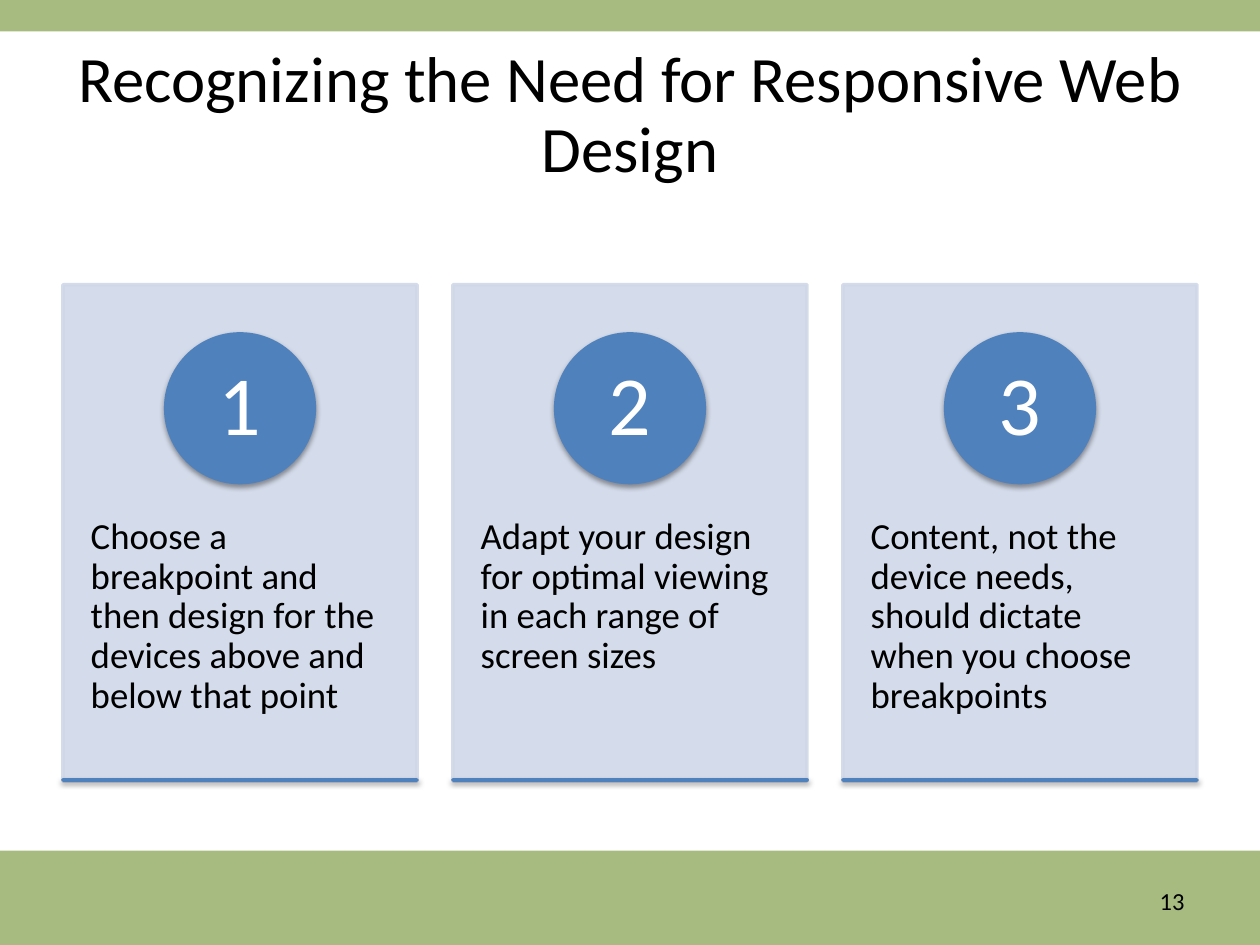
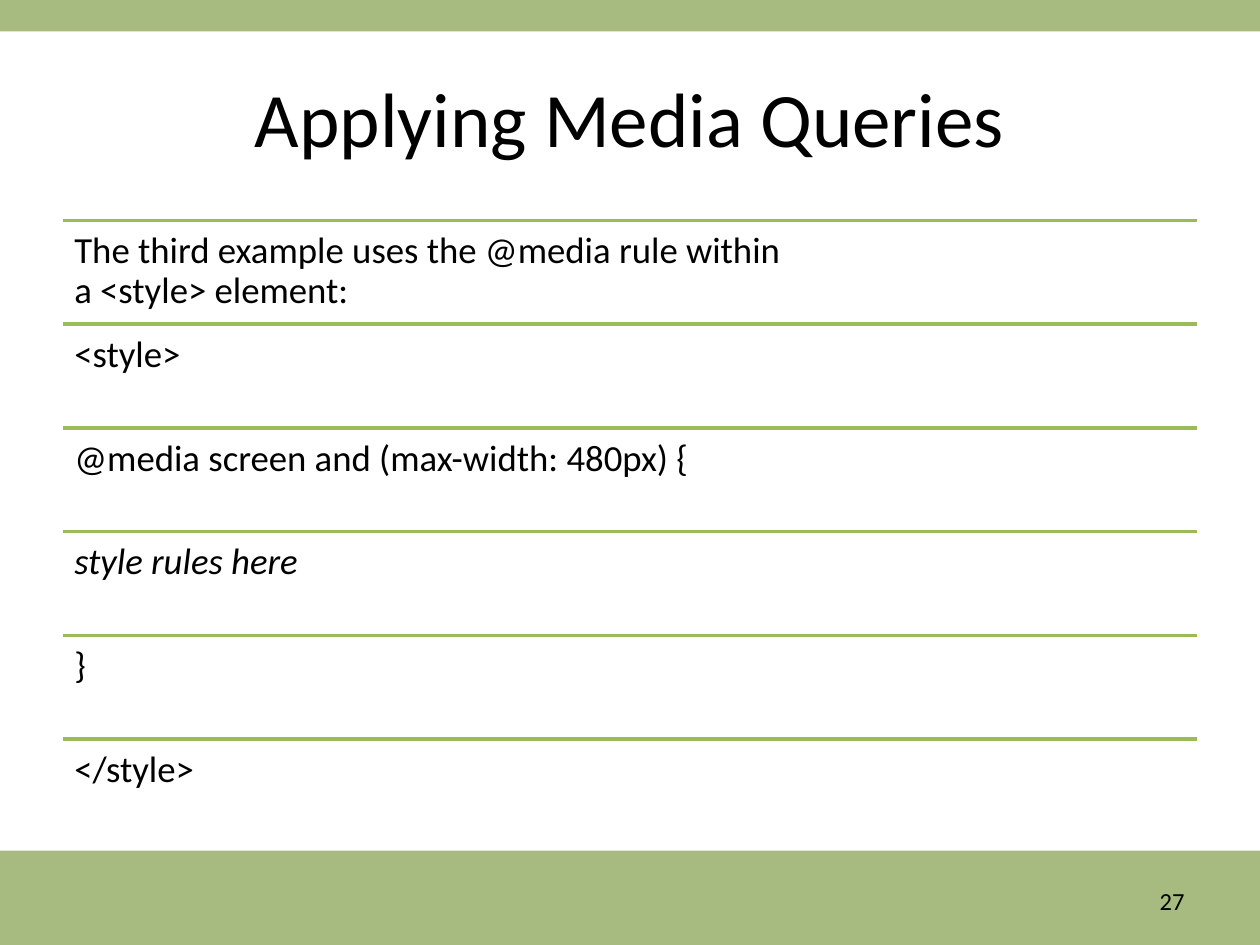
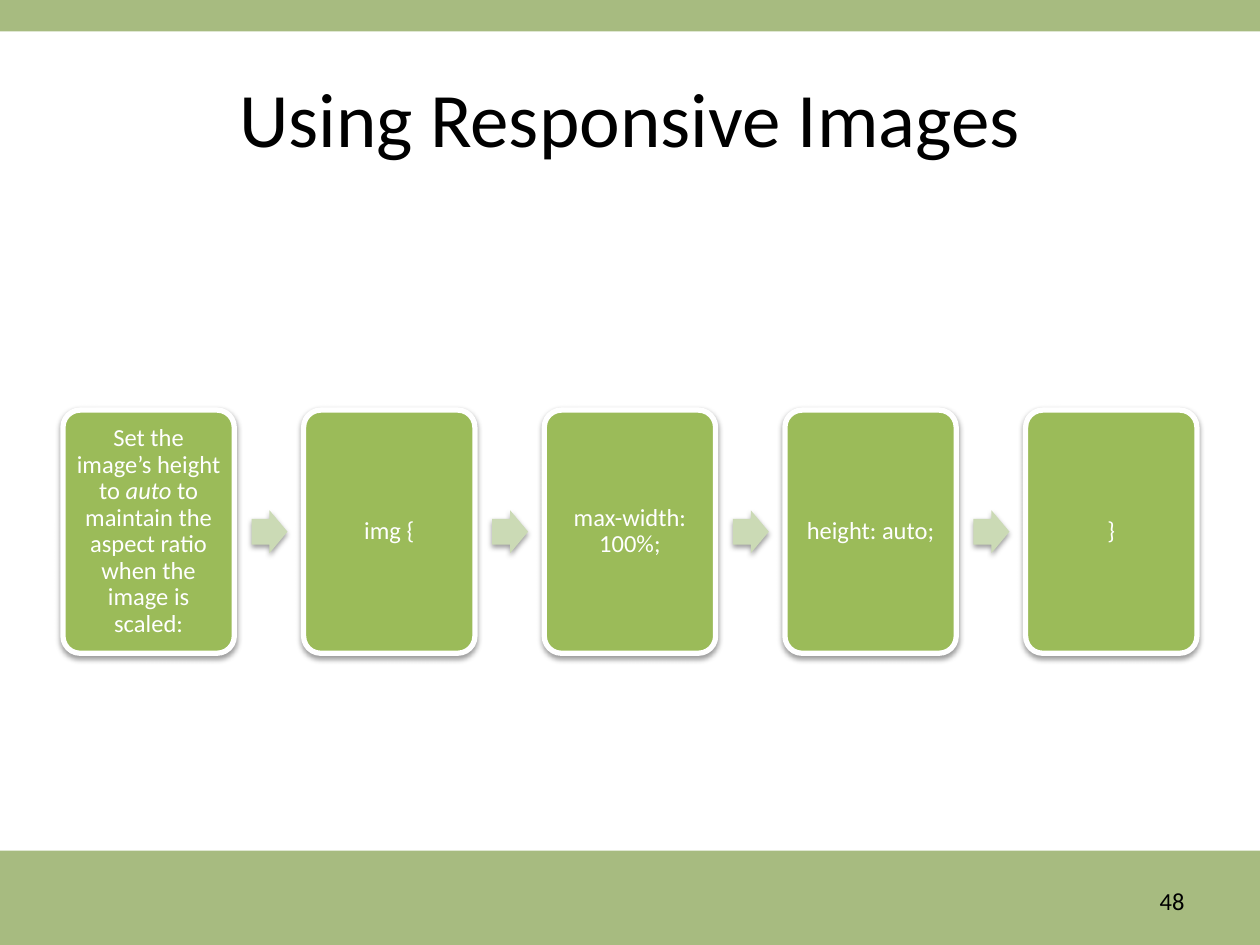
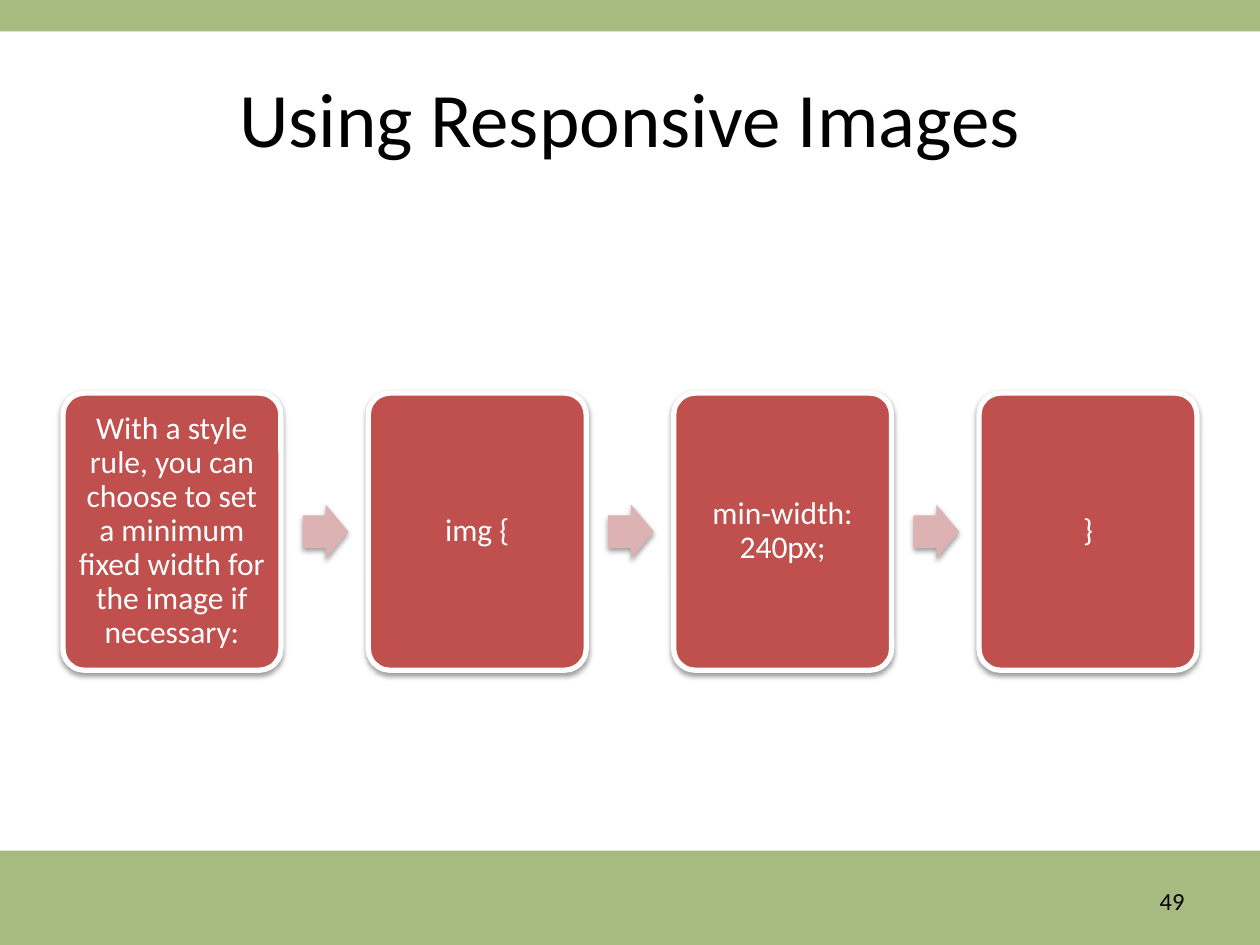
from pptx import Presentation
from pptx.dml.color import RGBColor
from pptx.enum.shapes import MSO_CONNECTOR, MSO_SHAPE
from pptx.enum.text import MSO_ANCHOR, MSO_AUTO_SIZE, PP_ALIGN
from pptx.oxml.xmlchemy import OxmlElement
from pptx.util import Inches, Pt

RECTANGLE, OVAL = MSO_SHAPE.RECTANGLE, MSO_SHAPE.OVAL
ROUNDED, ARROW = MSO_SHAPE.ROUNDED_RECTANGLE, MSO_SHAPE.RIGHT_ARROW
STRAIGHT = MSO_CONNECTOR.STRAIGHT
TOP, MIDDLE = MSO_ANCHOR.TOP, MSO_ANCHOR.MIDDLE
LEFT, CENTER, RIGHT = PP_ALIGN.LEFT, PP_ALIGN.CENTER, PP_ALIGN.RIGHT
NO_AUTOFIT = MSO_AUTO_SIZE.NONE

FONT = "Calibri"
COLORS = {
    "band": "A7BB80",
    "text": "000000",
    "white": "FFFFFF",
    "blue": "4F81BD",
    "card": "D0D8E8",
    "green": "9BBB59",
    "pale green": "CBDAB5",
    "red": "C0504D",
    "pale red": "DCB3B2",
}
MARGIN, CONTENT_WIDTH = 0.5, 9
DIAGRAM_MIDDLE = 4.22


def color(name):
    return RGBColor.from_string(COLORS[name])


def add_child(parent, tag, **attributes):
    child = OxmlElement(tag)
    for name, value in attributes.items():
        child.set(name, str(value))
    parent.append(child)
    return child


def spread(count, width):
    """Left edges of equal boxes that fill the content width."""
    pitch = (CONTENT_WIDTH - width) / (count - 1)
    return [MARGIN + index * pitch for index in range(count)]


class Deck:
    def __init__(self):
        self.presentation = Presentation()
        self.presentation.slide_width = Inches(10)
        self.presentation.slide_height = Inches(7.5)
        self.layout = self.presentation.slide_layouts[5]
        self.slide = None

    def new_slide(self, title, number, size=44, line_spacing=1):
        first = self.slide is None
        self.slide = self.presentation.slides.add_slide(self.layout)
        if first:
            self.move_bands_to_layout()
        placeholder = self.slide.shapes.title
        placeholder.left, placeholder.top = Inches(MARGIN), Inches(0.3)
        placeholder.width, placeholder.height = Inches(CONTENT_WIDTH), Inches(1.25)
        self.set_text(placeholder, title, size, align=CENTER, anchor=MIDDLE,
                      line_spacing=line_spacing)
        self.text(7.17, 6.95, 2.33, 0.4, str(number), 14, align=RIGHT,
                  anchor=MIDDLE, line_spacing=1, space_after=6)

    def move_bands_to_layout(self):
        for top, height in ((0, 0.25), (6.75, 0.75)):
            band = self.shape(RECTANGLE, 0, top, 10, height, "band")
            self.layout.shapes.element.insert(2, band.element)

    def set_text(self, shape, text, size, ink="text", align=LEFT, anchor=TOP,
                 insets=(0.1, 0.05), line_spacing=0.9, space_after=0):
        """Fill a shape with a string, or with (text, italic) pairs."""
        frame = shape.text_frame
        across, down = map(Inches, insets)
        frame_format = {
            "word_wrap": True, "auto_size": NO_AUTOFIT, "vertical_anchor": anchor,
            "margin_left": across, "margin_right": across,
            "margin_top": down, "margin_bottom": down,
        }
        for name, value in frame_format.items():
            setattr(frame, name, value)
        paragraph = frame.paragraphs[0]
        paragraph_format = {
            "alignment": align, "line_spacing": line_spacing,
            "space_before": Pt(0), "space_after": Pt(space_after),
        }
        for name, value in paragraph_format.items():
            setattr(paragraph, name, value)
        if isinstance(text, str):
            paragraph.text = text
        else:
            for words, italic in text:
                run = paragraph.add_run()
                run.text, run.font.italic = words, italic
        for run in paragraph.runs:
            run.font.name, run.font.size = FONT, Pt(size)
            run.font.color.rgb = color(ink)

    def text(self, left, top, width, height, text, size, **options):
        box = self.slide.shapes.add_textbox(
            Inches(left), Inches(top), Inches(width), Inches(height))
        self.set_text(box, text, size, **options)

    def shape(self, kind, left, top, width, height, fill, line=None,
              line_width=2, opacity=None, shadow=False, adjustments=()):
        shape = self.slide.shapes.add_shape(
            kind, Inches(left), Inches(top), Inches(width), Inches(height))
        for index, value in enumerate(adjustments):
            shape.adjustments[index] = value
        shape.fill.solid()
        shape.fill.fore_color.rgb = color(fill)
        if line:
            shape.line.color.rgb = color(line)
            shape.line.width = Pt(line_width)
        else:
            shape.line.fill.background()
        properties = shape.element.spPr
        if opacity:
            for node in properties.xpath(".//a:srgbClr"):
                add_child(node, "a:alpha", val=opacity * 1000)
        shape.shadow.inherit = False
        if shadow:
            effects = properties.xpath("a:effectLst")[0]
            outer = add_child(effects, "a:outerShdw", blurRad=Pt(3.1), dist=Pt(1.6),
                              dir=5400000, rotWithShape=0)
            shade = add_child(outer, "a:srgbClr", val=COLORS["text"])
            add_child(shade, "a:alpha", val=38000)
        return shape

    def rule(self, top):
        connector = self.slide.shapes.add_connector(
            STRAIGHT, Inches(MARGIN), Inches(top),
            Inches(MARGIN + CONTENT_WIDTH), Inches(top))
        connector.line.color.rgb = color("green")
        connector.line.width = Pt(2)
        add_child(connector.element.spPr, "a:effectLst")

    def numbered_cards(self, texts):
        width, diameter = 2.81, 1.18
        for number, (left, text) in enumerate(zip(spread(len(texts), width), texts), 1):
            self.shape(RECTANGLE, left, 2.26, width, 3.94, "card", "card", opacity=90)
            self.text(left, 3.75, width, 2.36, text, 21, insets=(0.22, 0.36))
            circle = self.shape(OVAL, left + (width - diameter) / 2, 2.65,
                                diameter, diameter, "blue", "blue", shadow=True)
            self.set_text(circle, str(number), 48, ink="white", align=CENTER,
                          anchor=MIDDLE, insets=(0.09, 0.01))
            self.shape(RECTANGLE, left, 6.19, width, 0, "blue", "blue", shadow=True)

    def ruled_rows(self, texts):
        top, bottom = 1.75, 6.69
        pitch = (bottom - top) / len(texts)
        for index, text in enumerate(texts):
            row_top = top + index * pitch
            self.rule(row_top)
            self.text(MARGIN, row_top, CONTENT_WIDTH, pitch, text, 21,
                      insets=(0.09, 0.09))

    def process(self, steps, width, height, fill, arrow_fill, size, inset):
        """Rounded steps in a row, with arrows scaled to the step width."""
        arrow_width, arrow_height = 0.21 * width, 0.25 * width
        for index, (left, text) in enumerate(zip(spread(len(steps), width), steps)):
            if index:
                self.shape(ARROW, arrow_left, DIAGRAM_MIDDLE - arrow_height / 2,
                           arrow_width, arrow_height, arrow_fill, shadow=True,
                           adjustments=(0.6, 0.5))
            step = self.shape(ROUNDED, left, DIAGRAM_MIDDLE - height / 2, width, height,
                              fill, "white", line_width=3, shadow=True,
                              adjustments=(0.1,))
            self.set_text(step, text, size, ink="white", align=CENTER, anchor=MIDDLE,
                          insets=(inset, inset))
            arrow_left = left + 1.1 * width


def main():
    deck = Deck()

    deck.new_slide("Recognizing the Need for Responsive Web Design", 13,
                   size=37, line_spacing=0.9)
    deck.numbered_cards([
        "Choose a breakpoint and then design for the devices above and below that point",
        "Adapt your design for optimal viewing in each range of screen sizes",
        "Content, not the device needs, should dictate when you choose breakpoints",
    ])

    deck.new_slide("Applying Media Queries", 27)
    deck.ruled_rows([
        "The third example uses the @media rule within \na <style> element:",
        "<style>",
        "@media screen and (max-width: 480px) {",
        [("style rules here", True)],
        "}",
        "</style>",
    ])

    deck.new_slide("Using Responsive Images", 48)
    image_height_note = [
        ("Set the image’s height to ", False),
        ("auto ", True),
        ("to maintain the aspect ratio when the image is scaled:", False),
    ]
    deck.process([image_height_note, "img {", "max-width: 100%;", "height: auto;", "}"],
                 1.36, 1.93, "green", "pale green", size=14, inset=0.06)

    deck.new_slide("Using Responsive Images", 49)
    minimum_width_note = ("With a style rule, you can choose to set a minimum "
                          "fixed width for the image if necessary:")
    deck.process([minimum_width_note, "img {", "min-width: 240px;", "}"],
                 1.73, 2.2, "red", "pale red", size=18, inset=0.07)

    deck.presentation.save("out.pptx")


if __name__ == "__main__":
    main()
